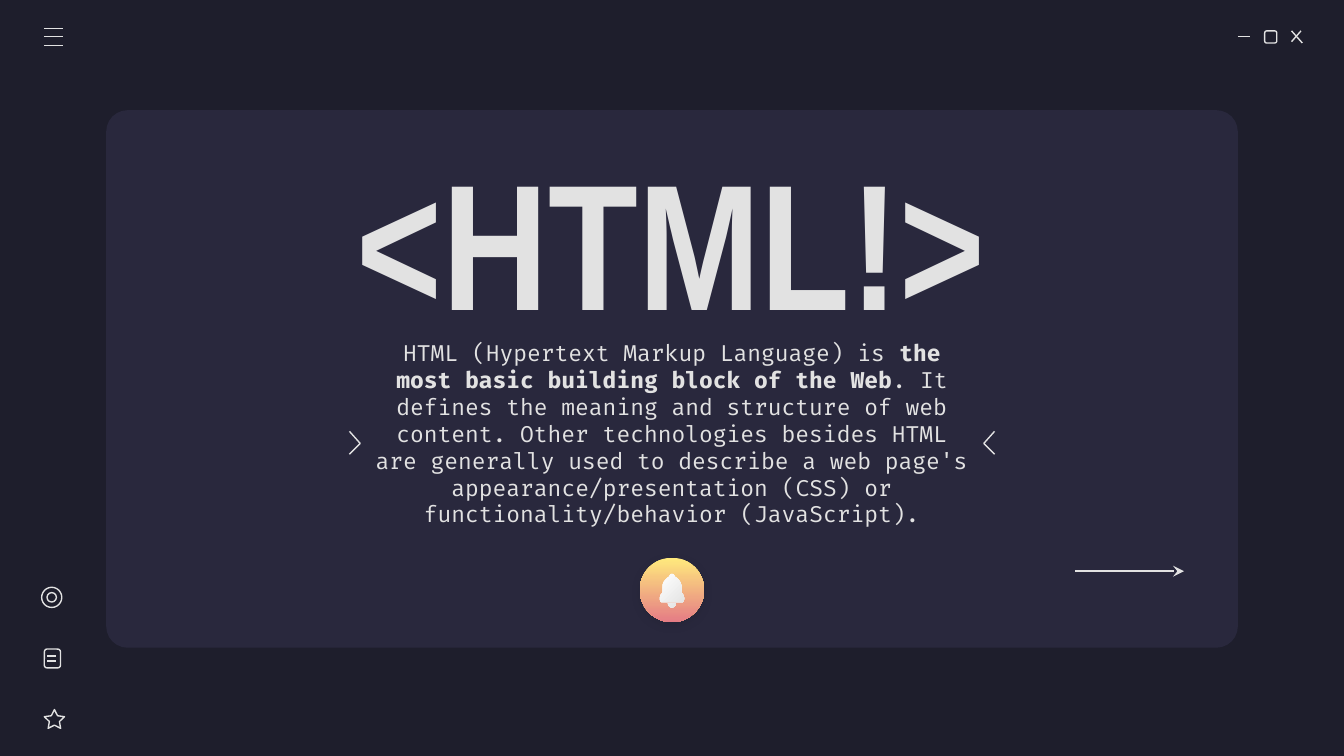
from lxml import etree
from pptx import Presentation
from pptx.dml.color import RGBColor
from pptx.enum.shapes import MSO_CONNECTOR, MSO_SHAPE as SHAPE
from pptx.enum.text import MSO_ANCHOR, PP_ALIGN
from pptx.oxml import parse_xml
from pptx.oxml.ns import nsdecls, qn
from pptx.util import Inches, Pt

NIGHT = RGBColor(0x1E, 0x1E, 0x2C)
PANEL = RGBColor(0x29, 0x28, 0x3D)
LIGHT = RGBColor(0xE2, 0xE2, 0xE2)
WHITE = RGBColor(0xFF, 0xFF, 0xFF)
YELLOW = RGBColor(0xFF, 0xEA, 0x7D)
CORAL = RGBColor(0xE5, 0x7C, 0x85)

# Text boxes: left, top, width, height, font, size, runs of (text, bold)
TEXTS = [
    (1.96, 1.07, 6.07, 1.42, "Arial Narrow", 96, [("<HTML!>", True)]),
    (2.68, 2.74, 4.64, 0.97, "Fira Code", 12, [
        ("HTML (Hypertext Markup Language) is ", False),
        ("the most basic building block of the Web", True),
        (". It defines the meaning and structure of web content. Other "
         "technologies besides HTML are generally used to describe a web "
         "page's appearance/presentation (CSS) or functionality/behavior "
         "(JavaScript).", False),
    ]),
]

# Outlined icon parts: preset, left, top, width, height
OUTLINES = [
    (SHAPE.ROUNDED_RECTANGLE, 9.41, 0.23, 0.09, 0.09),
    (SHAPE.STAR_5_POINT, 0.33, 5.28, 0.15, 0.14),
    (SHAPE.ROUNDED_RECTANGLE, 0.33, 4.83, 0.12, 0.14),
    (SHAPE.OVAL, 0.31, 4.37, 0.15, 0.15),
    (SHAPE.OVAL, 0.35, 4.41, 0.07, 0.07),
]

# Strokes: x1, y1, x2, y2
MINIMISE = [(9.21, 0.27, 9.3, 0.27)]
CLOSE = [(9.61, 0.23, 9.69, 0.32), (9.68, 0.23, 9.61, 0.31)]
MENU = [(0.33, y, 0.47, y) for y in (0.21, 0.27, 0.34)]
NOTE_LINES = [(0.35, y, 0.42, y) for y in (4.88, 4.92)]
ARROW = (8, 4.25, 8.81, 4.25)

CHEVRONS = [
    [(2.6, 3.21), (2.68, 3.3), (2.6, 3.38)],
    [(7.4, 3.21), (7.32, 3.3), (7.4, 3.38)],
]

# Right half of the bell as Bezier curves, x measured from its axis
BELL_AXIS = 5
BELL_BODY = [
    [(0, 4.27), (0.01, 4.27), (0.02, 4.28), (0.02, 4.29)],
    [(0.02, 4.29), (0.04, 4.3), (0.07, 4.33), (0.07, 4.36)],
    [(0.07, 4.41), (0.08, 4.42), (0.09, 4.43), (0.09, 4.45)],
    [(0.09, 4.46), (0.09, 4.47), (0.08, 4.48), (0.08, 4.48)],
]
BELL_CLAPPER = [[(0, 4.52), (0.02, 4.52), (0.03, 4.5), (0.03, 4.49)]]


def add_shape(kind, left, top, width, height):
    s = slide.shapes.add_shape(kind, *map(Inches, (left, top, width, height)))
    s.shadow.inherit = False
    return s


def stroke(s):
    s.line.color.rgb = LIGHT
    s.line.width = Pt(0.75)


def add_line(*ends):
    c = slide.shapes.add_connector(MSO_CONNECTOR.STRAIGHT, *map(Inches, ends))
    stroke(c)
    etree.SubElement(c._element.spPr, qn("a:effectLst"))
    return c


def add_freeform(contours, close):
    first, *others = [[(Inches(x), Inches(y)) for x, y in points]
                      for points in contours]
    builder = slide.shapes.build_freeform(*first[0])
    builder.add_line_segments(first[1:], close=close)
    for points in others:
        builder.move_to(*points[0])
        builder.add_line_segments(points[1:], close=close)
    s = builder.convert_to_shape()
    s.shadow.inherit = False
    return s


def fill_gradient(s, colours, angle):
    s.fill.gradient()
    s.fill.gradient_angle = angle
    for stop, colour, position in zip(s.fill.gradient_stops, colours, (0, 1)):
        stop.color.rgb = colour
        stop.position = position
    s.line.fill.background()


def mirrored(curves, steps=8):
    """Sample the half outline and join it to its reflection."""
    half = []
    for curve in curves:
        for i in range(steps + 1):
            t = i / steps
            weights = ((1 - t) ** 3, 3 * t * (1 - t) ** 2,
                       3 * t ** 2 * (1 - t), t ** 3)
            half.append(tuple(sum(w * p[k] for w, p in zip(weights, curve))
                              for k in (0, 1)))
    return ([(BELL_AXIS + x, y) for x, y in half]
            + [(BELL_AXIS - x, y) for x, y in reversed(half)])


prs = Presentation()
prs.slide_width = Inches(10)
prs.slide_height = prs.slide_width * 9 // 16
slide = prs.slides.add_slide(prs.slide_layouts[6])
slide.background.fill.solid()
slide.background.fill.fore_color.rgb = NIGHT

panel = add_shape(SHAPE.ROUNDED_RECTANGLE, 0.79, 0.82, 8.42, 4)
panel.adjustments[0] = 0.04
panel.fill.solid()
panel.fill.fore_color.rgb = PANEL
panel.line.fill.background()

for part in OUTLINES:
    s = add_shape(*part)
    if part[0] == SHAPE.STAR_5_POINT:
        s.adjustments[0] = 0.25
    s.fill.background()
    stroke(s)

for ends in MINIMISE + CLOSE + MENU + NOTE_LINES:
    add_line(*ends)

for left, top, width, height, font, size, runs in TEXTS:
    box = slide.shapes.add_textbox(*map(Inches, (left, top, width, height)))
    tf = box.text_frame
    tf.word_wrap = True
    tf.vertical_anchor = MSO_ANCHOR.MIDDLE
    tf.margin_left = tf.margin_right = Inches(0.1)
    tf.margin_top = tf.margin_bottom = Inches(0.1)
    p = tf.paragraphs[0]
    p.alignment = PP_ALIGN.CENTER
    p.font.name, p.font.size = font, Pt(size)
    p.font.color.rgb = LIGHT
    for text, bold in runs:
        r = p.add_run()
        r.text = text
        r.font.bold = bold

badge = add_shape(SHAPE.OVAL, 4.76, 4.15, 0.48, 0.48)
fill_gradient(badge, (YELLOW, CORAL), 270)
badge._element.spPr.find(qn("a:effectLst")).append(parse_xml(
    f'<a:outerShdw {nsdecls("a")} blurRad="{Pt(4.5)}" dist="{Pt(1.5)}" '
    f'dir="5400000" algn="bl" rotWithShape="0"><a:srgbClr val="{NIGHT}">'
    '<a:alpha val="30000"/></a:srgbClr></a:outerShdw>'))

bell = add_freeform([mirrored(BELL_BODY), mirrored(BELL_CLAPPER)], close=True)
fill_gradient(bell, (WHITE, LIGHT), 315)

for points in CHEVRONS:
    chevron = add_freeform([points], close=False)
    chevron.fill.background()
    stroke(chevron)

arrow = add_line(*ARROW)
etree.SubElement(arrow._element.spPr.find(qn("a:ln")), qn("a:tailEnd"),
                 type="stealth")

prs.save("out.pptx")
